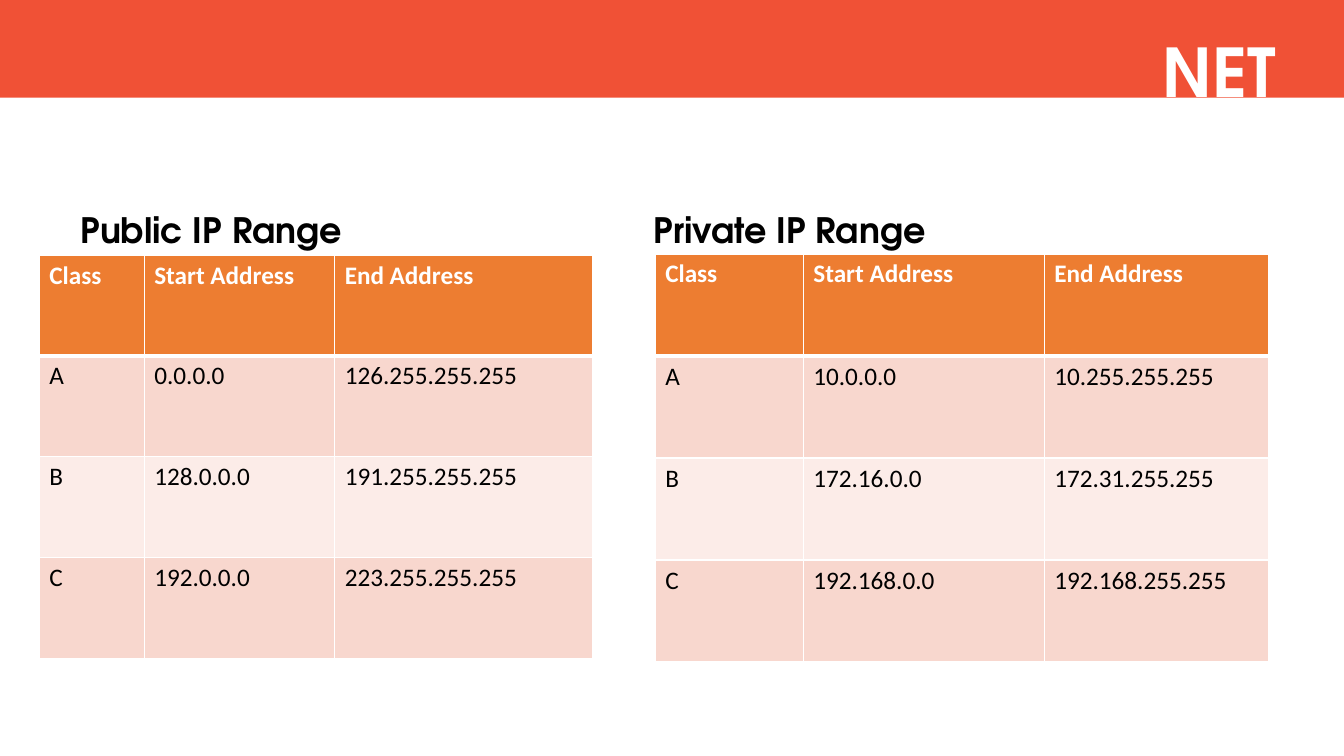
from dataclasses import dataclass

from lxml import etree
from pptx import Presentation
from pptx.dml.color import RGBColor
from pptx.enum.shapes import MSO_SHAPE
from pptx.enum.text import PP_ALIGN
from pptx.oxml.ns import qn
from pptx.slide import Slide
from pptx.table import _Cell
from pptx.text.text import _Paragraph
from pptx.util import Pt

RECTANGLE = MSO_SHAPE.RECTANGLE
RIGHT = PP_ALIGN.RIGHT

HEADING_FONT = "TeX Gyre Adventor"
TABLE_FONT = "Calibri"
WHITE, BLACK = "FFFFFF", "000000"
BANNER_RED, HEADER_ORANGE = "F05136", "ED7D31"
ROW_BANDS = ("F8D7CE", "FCECE8")
THIN, THICK = 1, 3
PRIVATE_HEADING_TAB = 409.3

HEADER = ("Class", "Start Address", "End Address")


@dataclass(frozen=True)
class AddressTable:
    left: float
    top: float
    column_widths: tuple[float, ...]
    row_height: float
    ranges: tuple[tuple[str, str, str], ...]


ADDRESS_TABLES = (
    AddressTable(28.1, 182.2, (74.9, 136.1, 184.3), 72, (
        ("A", "0.0.0.0", "126.255.255.255"),
        ("B", "128.0.0.0", "191.255.255.255"),
        ("C", "192.0.0.0", "223.255.255.255"),
    )),
    AddressTable(468, 181.4, (105.8, 172.1, 160.6), 72.9, (
        ("A", "10.0.0.0", "10.255.255.255"),
        ("B", "172.16.0.0", "172.31.255.255"),
        ("C", "192.168.0.0", "192.168.255.255"),
    )),
)


def color(value: str) -> RGBColor:
    return RGBColor.from_string(value)


def format_runs(paragraph: _Paragraph, font_name: str, size: float,
                font_color: str, bold: bool) -> None:
    for run in paragraph.runs:
        run.font.name = font_name
        run.font.size = Pt(size)
        run.font.bold = bold
        run.font.color.rgb = color(font_color)


def add_heading(slide: Slide, text: str, left: float, top: float, width: float,
                height: float, size: float, font_color: str) -> _Paragraph:
    box = slide.shapes.add_textbox(Pt(left), Pt(top), Pt(width), Pt(height))
    box.text_frame.word_wrap = True
    paragraph = box.text_frame.paragraphs[0]
    paragraph.text = text
    format_runs(paragraph, HEADING_FONT, size, font_color, True)
    return paragraph


def add_tab_stop(paragraph: _Paragraph, position: float) -> None:
    properties = paragraph._p.get_or_add_pPr()
    tab_list = etree.SubElement(properties, qn("a:tabLst"))
    etree.SubElement(tab_list, qn("a:tab"), pos=str(Pt(position)), algn="l")


def add_banner(slide: Slide) -> None:
    banner = slide.shapes.add_shape(RECTANGLE, 0, 0, Pt(960), Pt(69.8))
    banner.shadow.inherit = False
    banner.fill.solid()
    banner.fill.fore_color.rgb = color(BANNER_RED)
    banner.line.fill.background()


def set_borders(cell: _Cell, top: float, bottom: float) -> None:
    """Draw white borders; the sides are always thin."""
    properties = cell._tc.get_or_add_tcPr()
    widths = {"a:lnL": THIN, "a:lnR": THIN, "a:lnT": top, "a:lnB": bottom}
    for tag, width in widths.items():
        line = etree.SubElement(properties, qn(tag), w=str(Pt(width)))
        fill = etree.SubElement(line, qn("a:solidFill"))
        etree.SubElement(fill, qn("a:srgbClr"), val=WHITE)


def add_address_table(slide: Slide, item: AddressTable) -> None:
    rows = (HEADER, *item.ranges)
    table = slide.shapes.add_table(
        len(rows), len(HEADER), Pt(item.left), Pt(item.top),
        Pt(sum(item.column_widths)), Pt(item.row_height * len(rows))).table
    for column, width in zip(table.columns, item.column_widths):
        column.width = Pt(width)
    for row_index, values in enumerate(rows):
        is_header = row_index == 0
        band = HEADER_ORANGE if is_header else ROW_BANDS[(row_index - 1) % 2]
        table.rows[row_index].height = Pt(item.row_height)
        for column_index, value in enumerate(values):
            cell = table.cell(row_index, column_index)
            set_borders(cell, THICK if row_index == 1 else THIN,
                        THICK if is_header else THIN)
            cell.fill.solid()
            cell.fill.fore_color.rgb = color(band)
            cell.text_frame.text = value
            format_runs(cell.text_frame.paragraphs[0], TABLE_FONT, 18,
                        WHITE if is_header else BLACK, is_header)


def main() -> None:
    presentation = Presentation()
    presentation.slide_width = Pt(960)
    presentation.slide_height = Pt(540)
    slide = presentation.slides.add_slide(presentation.slide_layouts[6])

    range_headings = add_heading(slide, "Public IP Range\tPrivate IP Range",
                                 50.4, 85.7, 859, 416.2, 25, BLACK)
    range_headings.line_spacing = 3.0
    add_tab_stop(range_headings, PRIVATE_HEADING_TAB)

    add_banner(slide)
    title = add_heading(slide, "NET", 306, 18, 612, 65.5, 48, WHITE)
    title.alignment = RIGHT

    for item in ADDRESS_TABLES:
        add_address_table(slide, item)
    presentation.save("out.pptx")


if __name__ == "__main__":
    main()
